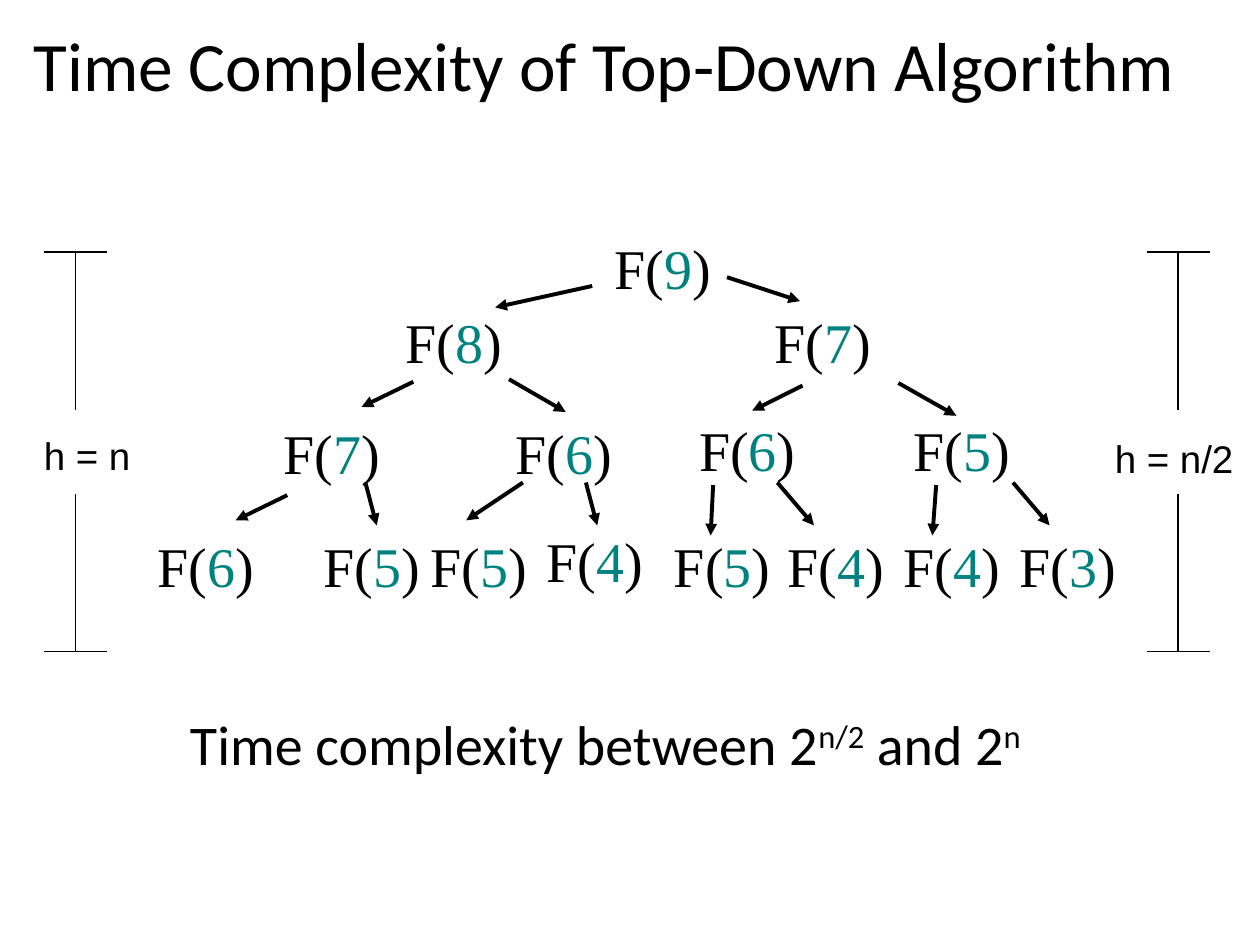
from lxml import etree
from pptx import Presentation
from pptx.dml.color import RGBColor
from pptx.enum.shapes import MSO_CONNECTOR
from pptx.enum.text import MSO_ANCHOR
from pptx.oxml.ns import qn
from pptx.util import Inches, Pt

STRAIGHT = MSO_CONNECTOR.STRAIGHT
MIDDLE = MSO_ANCHOR.MIDDLE
BLACK, TEAL = "000000", "008380"

TITLE = "Time Complexity of Top-Down Algorithm"
TITLE_FORMAT = {"name": "Calibri", "size": Pt(39.6)}
CAPTION_FORMAT = {"name": "Calibri", "size": Pt(32)}
NODE_FORMAT = {"name": "Times New Roman", "size": Pt(32)}
HEIGHT_FORMAT = {"name": "Arial", "size": Pt(22)}

# text, is superscript
CAPTION = [("Time complexity between 2", False), ("n/2", True),
           (" and 2", False), ("n", True)]

# argument, left, top, arrow from the parent (start, end)
CALLS = [
    ("9", 4.78, 1.75, None),
    ("8", 3.12, 2.34, ((4.7, 2.27), (3.93, 2.44))),
    ("7", 6.05, 2.34, ((5.77, 2.2), (6.35, 2.39))),
    ("7", 2.15, 3.22, ((3.28, 3.03), (2.87, 3.23))),
    ("6", 3.99, 3.22, ((4.04, 3.01), (4.49, 3.27))),
    ("6", 5.45, 3.2, ((6.37, 3.06), (5.97, 3.26))),
    ("5", 7.15, 3.2, ((7.13, 3.04), (7.59, 3.3))),
    ("6", 1.15, 4.12, ((2.28, 3.93), (1.87, 4.13))),
    ("5", 2.47, 4.12, ((2.9, 3.83), (2.99, 4.17))),
    ("5", 3.32, 4.12, ((4.15, 3.83), (3.7, 4.13))),
    ("4", 4.24, 4.08, ((4.65, 3.83), (4.74, 4.17))),
    ("5", 5.25, 4.12, ((5.66, 3.85), (5.64, 4.25))),
    ("4", 6.15, 4.12, ((6.17, 3.83), (6.46, 4.17))),
    ("4", 7.07, 4.12, ((7.43, 3.85), (7.4, 4.25))),
    ("3", 7.99, 4.12, ((8.04, 3.83), (8.33, 4.17))),
]
NODE_SIZE = (1.18, 0.63)

# label, label box, centre of the bracket
BRACKETS = [("h = n", (0.25, 3.38, 0.89, 0.47), 0.6),
            ("h = n/2", (8.75, 3.4, 1.15, 0.47), 9.35)]
BRACKET_TOP, BRACKET_BOTTOM = 2, 5.17
GAP_TOP, GAP_BOTTOM = 3.25, 3.92
CAP_HALF = 0.25


def color(value):
    return RGBColor.from_string(value)


def add_text(slide, box, runs, font_format, wrap=True, **frame_format):
    """Add a text box; each run is (text, colour, is superscript)."""
    frame = slide.shapes.add_textbox(*map(Inches, box)).text_frame
    frame.word_wrap = wrap
    for name, value in frame_format.items():
        setattr(frame, name, value)
    paragraph = frame.paragraphs[0]
    for text, run_color, superscript in runs:
        run = paragraph.add_run()
        run.text = text
        for name, value in font_format.items():
            setattr(run.font, name, value)
        run.font.color.rgb = color(run_color)
        if superscript:
            run._r.get_or_add_rPr().set("baseline", "30000")
    return paragraph


def add_line(slide, start, end, width, arrow=False):
    connector = slide.shapes.add_connector(
        STRAIGHT, *map(Inches, (*start, *end)))
    connector.line.width = Pt(width)
    connector.line.color.rgb = color(BLACK)
    if arrow:
        line = connector.line._get_or_add_ln()
        etree.SubElement(line, qn("a:tailEnd"), type="triangle")
    etree.SubElement(connector._element.spPr, qn("a:effectLst"))


def add_call(slide, argument, left, top, arrow):
    runs = [("F(", BLACK, False), (argument, TEAL, False), (")", BLACK, False)]
    add_text(slide, (left, top, *NODE_SIZE), runs, NODE_FORMAT,
             margin_top=Inches(0.1))
    if arrow:
        add_line(slide, *arrow, 2.25, arrow=True)


def add_bracket(slide, label, box, center):
    add_text(slide, box, [(label, BLACK, False)], HEIGHT_FORMAT, wrap=False)
    for end, gap in ((BRACKET_TOP, GAP_TOP), (BRACKET_BOTTOM, GAP_BOTTOM)):
        add_line(slide, (center - CAP_HALF, end), (center + CAP_HALF, end), 0.75)
        add_line(slide, (center, end), (center, gap), 0.75)


def main():
    presentation = Presentation()
    presentation.slide_width = Inches(10)
    presentation.slide_height = Inches(7.5)
    slide = presentation.slides.add_slide(presentation.slide_layouts[6])

    title = add_text(slide, (0.17, 0.18, 9.62, 0.74), [(TITLE, BLACK, False)],
                     TITLE_FORMAT, vertical_anchor=MIDDLE)
    title.line_spacing = 0.9
    for call in CALLS:
        add_call(slide, *call)
    for bracket in BRACKETS:
        add_bracket(slide, *bracket)
    add_text(slide, (1.41, 5.58, 6.94, 0.64),
             [(text, BLACK, raised) for text, raised in CAPTION],
             CAPTION_FORMAT, wrap=False)
    presentation.save("out.pptx")


if __name__ == "__main__":
    main()
